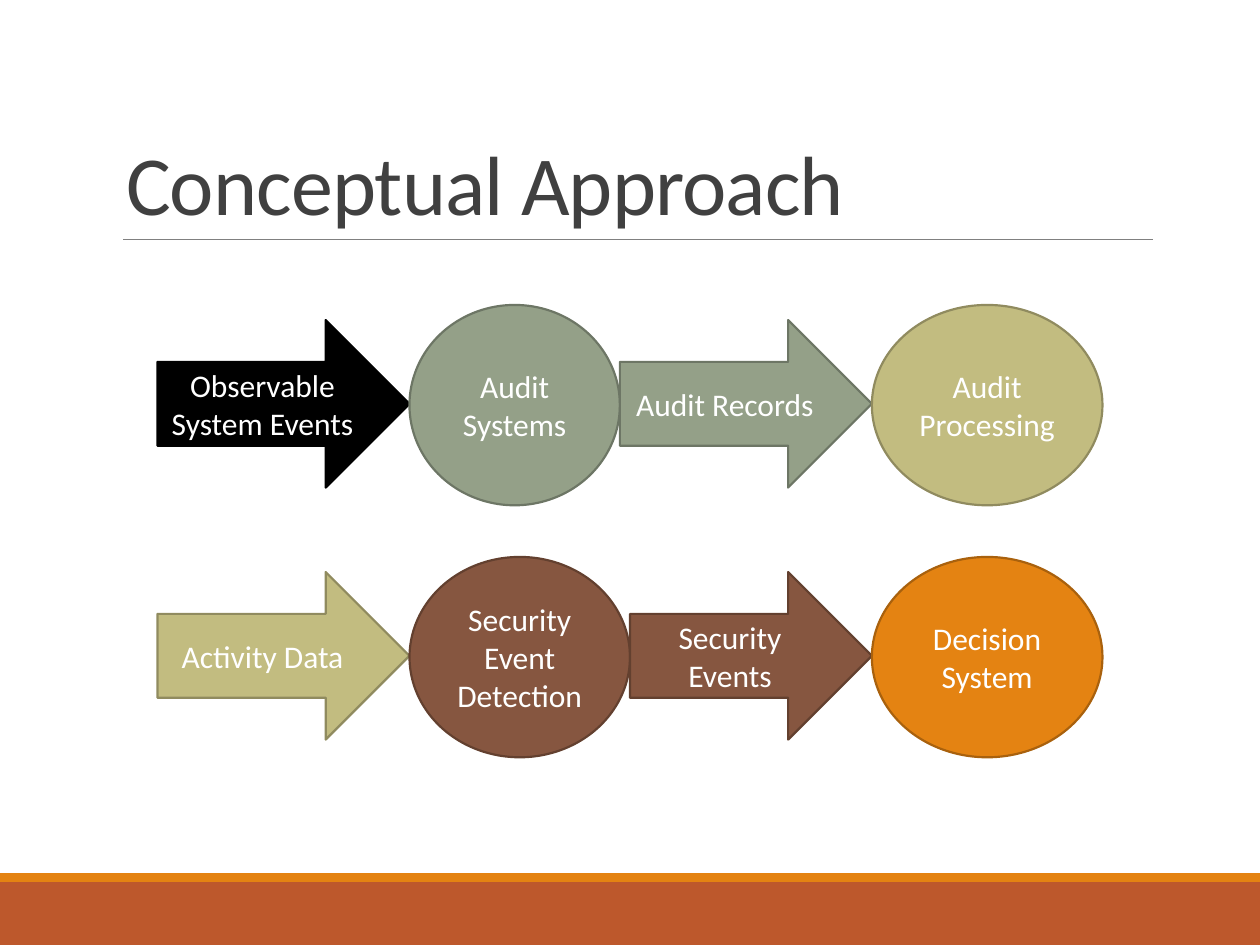
from lxml.etree import SubElement
from pptx import Presentation
from pptx.dml.color import RGBColor
from pptx.enum.shapes import MSO_CONNECTOR as CONN, MSO_SHAPE as SHAPE
from pptx.enum.text import MSO_ANCHOR as ANCHOR, PP_ALIGN as ALIGN
from pptx.oxml.ns import qn
from pptx.util import Inches, Pt

FONT = "Calibri"
COLORS = {
    "white": "FFFFFF", "title": "404040", "rule": "808080",
    "rust": "BD582C", "orange": "E48312", "orange_edge": "A9610D",
    "black": "000000", "sage": "94A088", "sage_edge": "6D7665",
    "olive": "C2BC80", "olive_edge": "908B5F",
    "brown": "865640", "brown_edge": "63402F",
}
ARROW_H, ELLIPSE_H, ARROW_DROP = 1.33, 1.59, 0.12

# Each step: label, shape, width, fill, outline
ROWS = [
    [("Observable System Events", SHAPE.RIGHT_ARROW, 2, "black", "black"),
     ("Audit Systems", SHAPE.OVAL, 1.67, "sage", "sage_edge"),
     ("Audit Records", SHAPE.RIGHT_ARROW, 2, "sage", "sage_edge"),
     ("Audit Processing", SHAPE.OVAL, 1.83, "olive", "olive_edge")],
    [("Activity Data", SHAPE.RIGHT_ARROW, 2, "olive", "olive_edge"),
     ("Security Event Detection", SHAPE.OVAL, 1.75, "brown", "brown_edge"),
     ("Security Events", SHAPE.RIGHT_ARROW, 1.92, "brown", "brown_edge"),
     ("Decision System", SHAPE.OVAL, 1.83, "orange", "orange_edge")],
]


def rgb(name):
    return RGBColor.from_string(COLORS[name])


def write(tf, text, size=18, color="white", align=ALIGN.CENTER,
          anchor=ANCHOR.MIDDLE, line_spacing=None, tracking=None):
    tf.word_wrap = True
    tf.vertical_anchor = anchor
    p = tf.paragraphs[0]
    p.alignment = align
    if line_spacing:
        p.line_spacing = line_spacing
    r = p.add_run()
    r.text = text
    r.font.name, r.font.size = FONT, Pt(size)
    r.font.color.rgb = rgb(color)
    if tracking:
        r._r.get_or_add_rPr().set("spc", str(int(tracking * 100)))


def add_block(s, kind, x, y, w, h, fill, edge=None):
    sp = s.shapes.add_shape(kind, Inches(x), Inches(y), Inches(w), Inches(h))
    sp.shadow.inherit = False
    sp.fill.solid()
    sp.fill.fore_color.rgb = rgb(fill)
    if edge:
        sp.line.color.rgb = rgb(edge)
        sp.line.width = Pt(1.25)
    else:
        sp.line.fill.background()
    return sp


def add_footer(s, x, y, w, h):
    band = 0.07
    add_block(s, SHAPE.RECTANGLE, x, y + band, w, h - band, "rust")
    add_block(s, SHAPE.RECTANGLE, x, y, w, band, "orange")


def add_title(s, x, y, w, h):
    title = s.shapes.title
    title.left, title.top = Inches(x), Inches(y)
    title.width, title.height = Inches(w), Inches(h)
    write(title.text_frame, "Conceptual Approach", size=48, color="title",
          align=ALIGN.LEFT, anchor=ANCHOR.BOTTOM, line_spacing=0.85,
          tracking=-0.5)
    # Rule under the title
    bottom = Inches(y + h)
    rule = s.shapes.add_connector(CONN.STRAIGHT, Inches(x + 0.08), bottom,
                                  Inches(x + w), bottom)
    rule.line.color.rgb = rgb("rule")
    rule.line.width = Pt(0.5)
    SubElement(rule._element.spPr, qn("a:effectLst"))


def add_flow_row(s, x, y, steps):
    """Lay the steps edge to edge from left to right."""
    for text, kind, w, fill, edge in steps:
        if kind == SHAPE.RIGHT_ARROW:
            top, h = y + ARROW_DROP, ARROW_H
        else:
            top, h = y, ELLIPSE_H
        sp = add_block(s, kind, x, top, w, h, fill, edge)
        write(sp.text_frame, text)
        x += w


def main():
    prs = Presentation()
    prs.slide_width, prs.slide_height = Inches(10), Inches(7.5)
    s = prs.slides.add_slide(prs.slide_layouts[5])
    add_footer(s, 0, 6.93, 10, 0.57)
    add_title(s, 0.9, 0.31, 8.25, 1.59)
    for i, steps in enumerate(ROWS):
        add_flow_row(s, 1.25, 2.42 + 2 * i, steps)
    prs.save("out.pptx")


if __name__ == "__main__":
    main()
